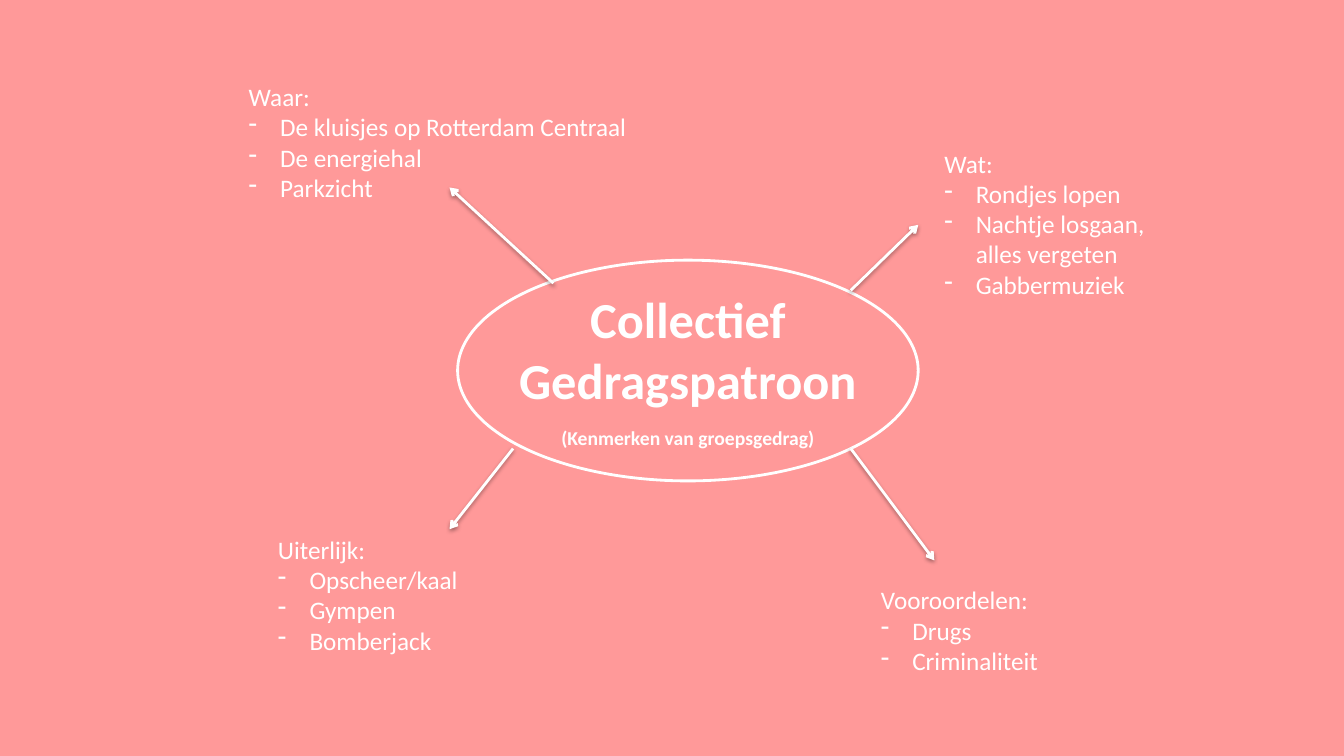
"""Build a mind map slide about a collective behaviour pattern."""
from lxml.etree import SubElement
from pptx import Presentation
from pptx.dml.color import RGBColor
from pptx.enum.shapes import MSO_CONNECTOR, MSO_SHAPE
from pptx.enum.text import MSO_ANCHOR, MSO_AUTO_SIZE, PP_ALIGN
from pptx.oxml import parse_xml
from pptx.oxml.ns import nsdecls, qn
from pptx.util import Pt

WHITE = "FFFFFF"
BACKGROUND = "FF9999"
SHADOW = (
    f'<a:effectLst {nsdecls("a")}>'
    '<a:outerShdw blurRad="40000" dist="20000" dir="5400000" rotWithShape="0">'
    '<a:srgbClr val="000000"><a:alpha val="38000"/></a:srgbClr>'
    '</a:outerShdw></a:effectLst>'
)
TRAITS = [
    ((170.6, 54.7, 311.8, 94.3), "Waar:",
     ["De kluisjes op Rotterdam Centraal", "De energiehal", "Parkzicht"]),
    ((667.4, 102.2, 193, 116.6), "Wat:",
     ["Rondjes lopen", "Nachtje losgaan, alles vergeten", "Gabbermuziek"]),
    ((191.5, 378, 300.2, 94.3), "Uiterlijk:",
     ["Opscheer/kaal", "Gympen", "Bomberjack"]),
    ((622.1, 414, 266.4, 72.7), "Vooroordelen:", ["Drugs", "Criminaliteit"]),
]
ARROWS = [
    (607.7, 207.4, 655.9, 160.6),
    (395.3, 202.3, 321.1, 133.9),
    (366.5, 320.4, 321.1, 378),
    (607.7, 320.4, 667.4, 400.3),
]


def color(value):
    return RGBColor.from_string(value)


def write(para, text, size, bold=False):
    span = para.add_run()
    span.text = text
    formats = {"name": "Calibri", "size": Pt(size), "bold": bold}
    for name, value in formats.items():
        setattr(span.font, name, value)
    span.font.color.rgb = color(WHITE)


deck = Presentation()
deck.slide_width, deck.slide_height = Pt(960), Pt(540)
page = deck.slides.add_slide(deck.slide_layouts[5])
page.background.fill.solid()
page.background.fill.fore_color.rgb = color(BACKGROUND)

ellipse = page.shapes.add_shape(
    MSO_SHAPE.OVAL, Pt(326.9), Pt(185.8), Pt(329), Pt(157.7))
ellipse.shadow.inherit = False
ellipse.fill.background()
ellipse.line.color.rgb = color(WHITE)
ellipse.line.width = Pt(2)

title = page.shapes.title
placement = {"left": 338.4, "top": 202.3, "width": 306, "height": 123.8}
for name, value in placement.items():
    setattr(title, name, Pt(value))
frame = title.text_frame
frame_formats = {"word_wrap": True, "auto_size": MSO_AUTO_SIZE.NONE,
                 "vertical_anchor": MSO_ANCHOR.TOP}
for name, value in frame_formats.items():
    setattr(frame, name, value)
title_lines = [("Collectief", 36, 0), ("Gedragspatroon", 36, 0),
               ("(Kenmerken van groepsgedrag)", 14, 12)]
for index, (text, size, gap) in enumerate(title_lines):
    para = frame.add_paragraph() if index else frame.paragraphs[0]
    para.alignment = PP_ALIGN.CENTER
    para.space_before = Pt(gap)
    write(para, text, size, bold=True)

for bounds, heading, items in TRAITS:
    box = page.shapes.add_textbox(*map(Pt, bounds))
    frame = box.text_frame
    frame.word_wrap = True
    frame.auto_size = MSO_AUTO_SIZE.SHAPE_TO_FIT_TEXT
    write(frame.paragraphs[0], heading, 18)
    for item in items:
        para = frame.add_paragraph()
        write(para, item, 18)
        properties = para._p.get_or_add_pPr()
        properties.set("marL", str(Pt(22.5)))
        properties.set("indent", str(-Pt(22.5)))
        SubElement(properties, qn("a:buChar"), char="-")

for ends in ARROWS:
    arrow = page.shapes.add_connector(MSO_CONNECTOR.STRAIGHT, *map(Pt, ends))
    arrow.line.color.rgb = color(WHITE)
    arrow.line.width = Pt(2)
    SubElement(arrow.line._get_or_add_ln(), qn("a:tailEnd"), type="arrow")
    arrow._element.spPr.append(parse_xml(SHADOW))

deck.save("out.pptx")
